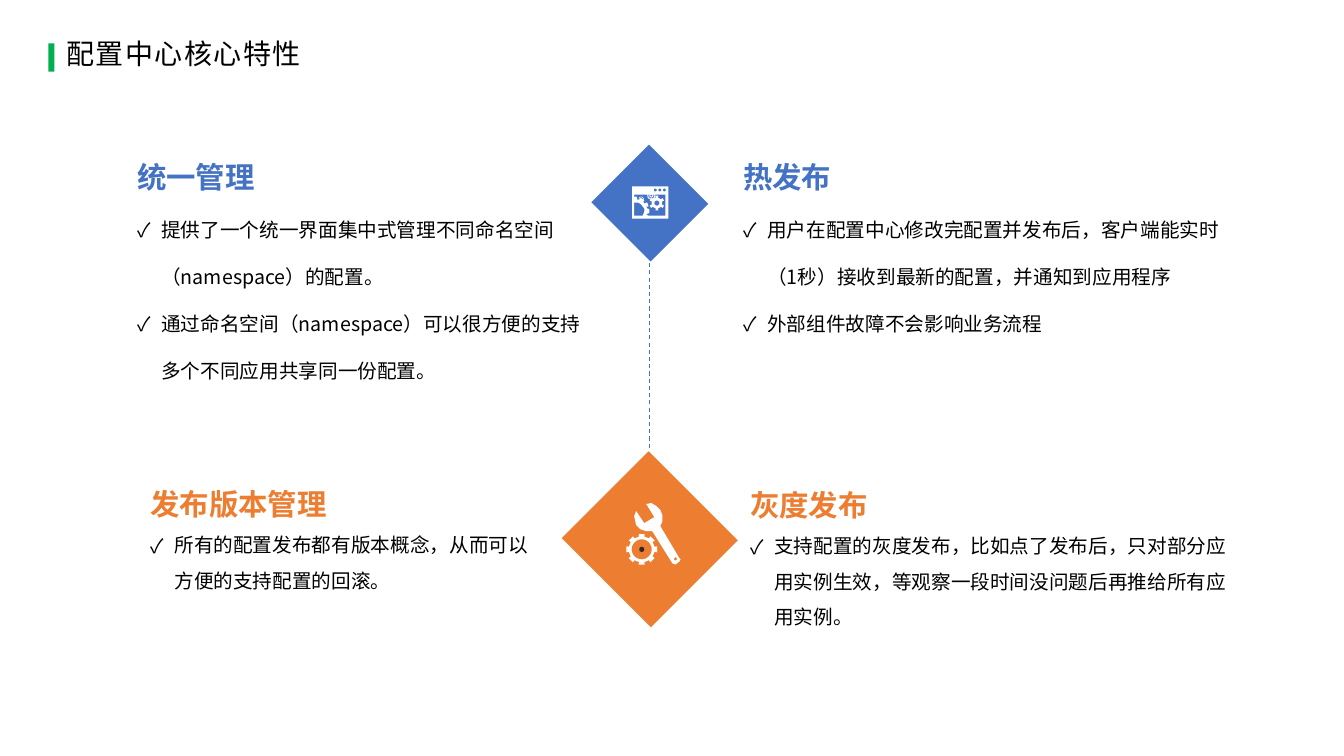
from math import cos, pi, sin
from lxml import etree
from pptx import Presentation
from pptx.dml.color import RGBColor
from pptx.enum.dml import MSO_LINE
from pptx.enum.shapes import MSO_CONNECTOR, MSO_SHAPE
from pptx.enum.text import MSO_ANCHOR, MSO_AUTO_SIZE
from pptx.oxml.ns import qn
from pptx.util import Pt

PX = 9144  # 100 px to the inch
FONT = "Noto Sans CJK SC"
BLUE = RGBColor(0x44, 0x72, 0xC4)
ORANGE = RGBColor(0xED, 0x7D, 0x31)
GREEN = RGBColor(0x00, 0xB0, 0x50)
BLACK = RGBColor(0, 0, 0)
WHITE = RGBColor(0xFF, 0xFF, 0xFF)
DARK = RGBColor(0x2F, 0x26, 0x37)
RECT = MSO_SHAPE.RECTANGLE
LINE = MSO_CONNECTOR.STRAIGHT
DASH = MSO_LINE.DASH
MIDDLE = MSO_ANCHOR.MIDDLE
GROW = MSO_AUTO_SIZE.SHAPE_TO_FIT_TEXT

SECTIONS = [
    ((131, 135, 452, 208), BLUE, 2.0, "统一管理", [
        "提供了一个统一界面集中式管理不同命名空间（namespace）的配置。",
        "通过命名空间（namespace）可以很方便的支持多个不同应用共享同一份配置。"]),
    ((732, 135, 483, 160), BLUE, 2.0, "热发布", [
        "用户在配置中心修改完配置并发布后，客户端能实时（1秒）接收到最新的配置，并通知到应用程序",
        "外部组件故障不会影响业务流程"]),
    ((144, 460, 390, 103), ORANGE, 1.5, "发布版本管理", [
        "所有的配置发布都有版本概念，从而可以方便的支持配置的回滚。"]),
    ((739, 461, 483, 132), ORANGE, 1.5, "灰度发布", [
        "支持配置的灰度发布，比如点了发布后，只对部分应用实例生效，"
        "等观察一段时间没问题后再推给所有应用实例。"]),
]

# Outlines relative to the corner of each icon
WRENCH = [(53, 55), (34, 23), (36, 18), (36, 12), (34, 7), (30, 3), (25, 0),
          (20, 1), (28, 14), (18, 20), (10, 8), (8, 13), (10, 22), (14, 26),
          (20, 28), (26, 28), (46, 60), (49, 61), (53, 58), (54, 56)]
COG = [(16, 22), (15, 22), (14, 20), (16, 20), (16, 19), (15, 16), (14, 16),
       (12, 17), (11, 15), (12, 14), (11, 13), (9, 12), (8, 12), (7, 13),
       (5, 13), (5, 11), (4, 10), (2, 10), (2, 16), (6, 16), (9, 18),
       (12, 22), (12, 25), (10, 30), (16, 30), (16, 29), (14, 28), (15, 27),
       (16, 27), (17, 26), (17, 23)]


def scale(box):
    return [n * PX for n in box]


def paint(shape, color):
    shape.fill.solid()
    shape.fill.fore_color.rgb = color
    shape.line.fill.background()
    shape.shadow.inherit = False


def block(slide, box, color, turn=0):
    shape = slide.shapes.add_shape(RECT, *scale(box))
    shape.rotation = turn
    paint(shape, color)


def outline(slide, left, top, loops, color=WHITE):
    """Draw closed loops as one shape; the inner loops are holes."""
    loops = [[(round((left + x) * PX), round((top + y) * PX)) for x, y in loop]
             for loop in loops]
    pen = slide.shapes.build_freeform(*loops[0][0], scale=1.0)
    for i, loop in enumerate(loops):
        if i:
            pen.move_to(*loop[0])
        pen.add_line_segments(loop[1:], close=True)
    paint(pen.convert_to_shape(), color)


def polar(cx, cy, size, turn):
    return cx + size * cos(turn), cy + size * sin(turn)


def ring(cx, cy, size):
    return [polar(cx, cy, size, 2 * pi * i / 24) for i in range(24)]


def gear(cx, cy, inner, outer, teeth):
    half = pi / 16
    points = []
    for i in range(teeth):
        mid = 2 * pi * i / teeth - pi / 2
        for size, turn in ((inner, -half), (outer, -half),
                           (outer, half), (inner, half)):
            points.append(polar(cx, cy, size, mid + turn))
    return points


def frame(left, top, wide, high):
    return [(left, top), (left + wide, top),
            (left + wide, top + high), (left, top + high)]


def write(para, text, size, color, bold=False):
    run = para.add_run()
    run.text = text
    font = run.font
    font.name, font.size, font.bold = FONT, Pt(size), bold
    font.color.rgb = color
    props = run._r.get_or_add_rPr()
    etree.SubElement(props, qn("a:ea"), typeface=FONT)
    return props


def text_box(slide, box):
    frame = slide.shapes.add_textbox(*scale(box)).text_frame
    frame.word_wrap = True
    frame.margin_left = frame.margin_right = 5 * PX
    frame.margin_top = frame.margin_bottom = 5 * PX
    return frame


def bullet(para):
    props = para._p.get_or_add_pPr()
    props.set("marL", str(24 * PX))
    props.set("indent", str(-24 * PX))
    etree.SubElement(props, qn("a:buFont"), typeface=FONT)
    etree.SubElement(props, qn("a:buChar"), char="✓")


def title(slide, box, text):
    left, top, wide, high = box
    block(slide, (left, top + 21, 6, 28), GREEN)
    frame = text_box(slide, (left + 13, top, wide - 13, high))
    frame.vertical_anchor = MIDDLE
    para = frame.paragraphs[0]
    para.line_spacing = 0.9
    write(para, text, 20, BLACK).set("spc", "100")


def section(slide, box, color, space, head, items):
    frame = text_box(slide, box)
    frame.auto_size = GROW
    para = frame.paragraphs[0]
    para.line_spacing = 1.5
    write(para, head, 21, color, True)
    for item in items:
        para = frame.add_paragraph()
        bullet(para)
        para.line_spacing = space
        write(para, item, 14, BLACK)


def tools(slide, box):
    left, top, wide, high = box
    block(slide, box, ORANGE, 45)
    left, top = left + 39, top + 25
    outline(slide, left, top, [WRENCH, ring(49, 55.5, 1.5)])
    outline(slide, left, top, [gear(15.5, 46, 13, 15.5, 8), ring(15.5, 46, 10)])
    outline(slide, left, top, [ring(15.5, 46, 2.5)], DARK)


def window(slide, box):
    left, top, wide, high = box
    block(slide, box, BLUE, 45)
    left, top = left + 24, top + 24
    dots = [ring(x, 3.5, 1.5) for x in (23, 27.5, 32)]
    outline(slide, left, top, [frame(0, 0, 36, 32), frame(2, 8, 31, 21), *dots])
    outline(slide, left, top, [COG])
    outline(slide, left, top, [gear(24.5, 16.5, 5.5, 7.5, 6), ring(24.5, 16.5, 2.5)])
    # Two small targets, each a pair of thin rings
    for x, y, size in ((9, 12.5, 2.5), (19, 9, 4)):
        outline(slide, left, top, [ring(x, y, size), ring(x, y, size * 0.75)])
        outline(slide, left, top, [ring(x, y, size / 2), ring(x, y, size / 4)])


def link(slide, x, top, end):
    line = slide.shapes.add_connector(LINE, *scale((x, top, x, end)))
    line.line.color.rgb = BLUE
    line.line.width = Pt(0.75)
    line.line.dash_style = DASH
    etree.SubElement(line._element.spPr, qn("a:effectLst"))


def main():
    deck = Presentation()
    deck.slide_width, deck.slide_height = scale((1333, 750))
    slide = deck.slides.add_slide(deck.slide_layouts[6])
    title(slide, (48, 22, 761, 66), "配置中心核心特性")
    # Centre column
    tools(slide, (582, 474, 125, 122))
    window(slide, (603, 161, 83, 81))
    link(slide, 644, 261, 447)
    # Four features
    for part in SECTIONS:
        section(slide, *part)
    deck.save("out.pptx")


if __name__ == "__main__":
    main()
